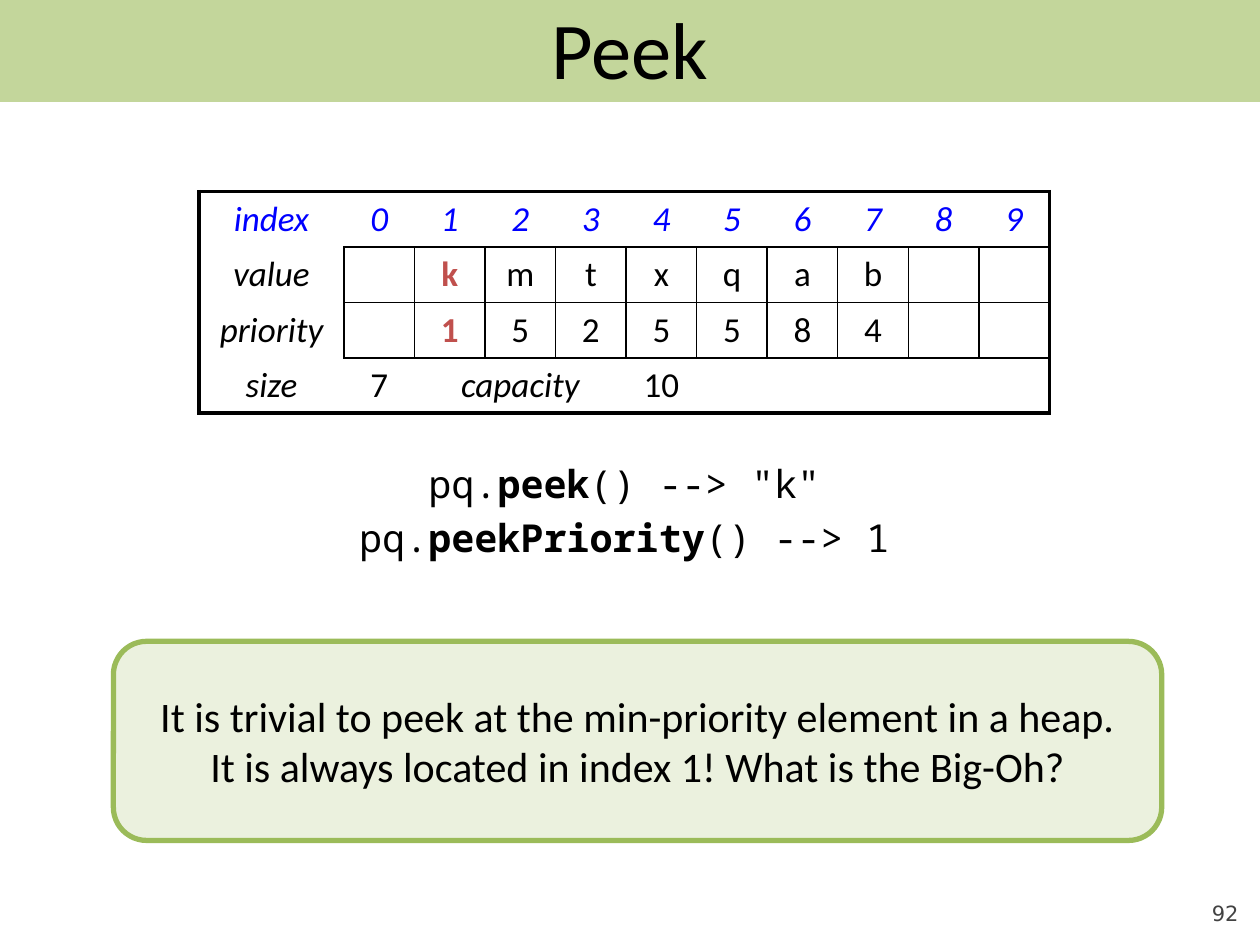
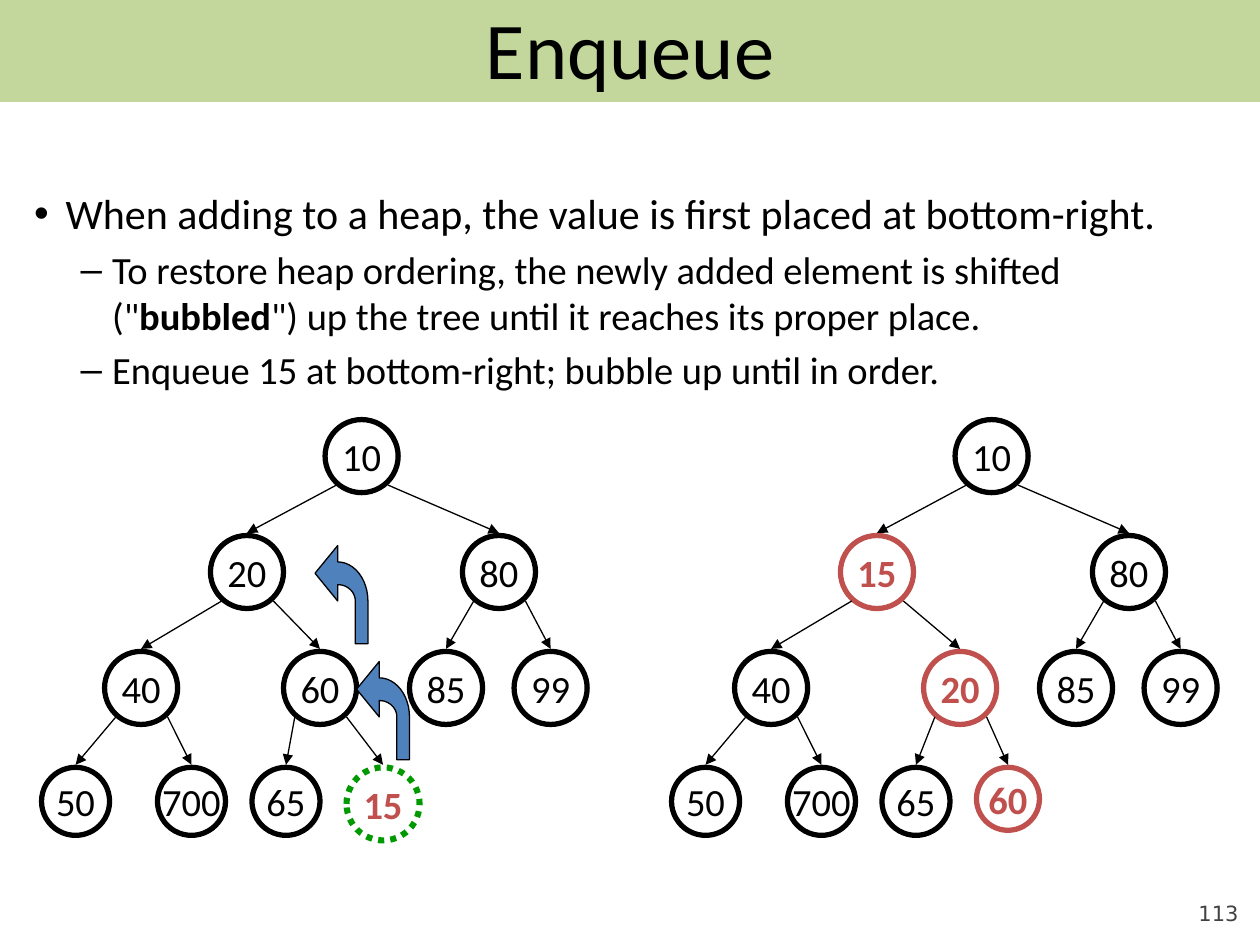
from dataclasses import dataclass
from math import cos, pi, sin

from lxml.etree import SubElement as Sub
from pptx import Presentation
from pptx.dml.color import RGBColor
from pptx.enum.dml import MSO_LINE as Dash
from pptx.enum.shapes import MSO_CONNECTOR as Conn, MSO_SHAPE as Kind
from pptx.enum.text import MSO_ANCHOR as Anchor, MSO_AUTO_SIZE as Auto, PP_ALIGN as Align
from pptx.oxml.ns import qn
from pptx.util import Inches, Pt


@dataclass(frozen=True)
class Theme:
    black: str = "000000"
    band: str = "C3D69B"
    pale: str = "EBF1DE"
    edge: str = "9BBB59"
    red: str = "C0504D"
    blue: str = "0000FF"
    green: str = "009900"
    arrow: str = "4F81BD"
    gray: str = "424242"
    sans: str = "Calibri"
    mono: str = "Noto Sans Mono"
    foot: str = "DejaVu Sans"
    title: int = 46
    lead: int = 24
    text: int = 22
    cell: int = 20
    note: int = 12
    thin: float = 0.75
    grid: float = 1
    frame: float = 2.25
    bold: float = 3
    dots: float = 3.5


T = Theme()
GAP = 0.92


def color(code):
    return RGBColor.from_string(code)


def style(para, size, tint=T.black, face=T.sans, align=None, bold=None, slant=None):
    font = para.font
    font.size, font.name = Pt(size), face
    font.color.rgb = color(tint)
    font.bold, font.italic = bold, slant
    if align is not None:
        para.alignment = align


def paint(shape, fill=None, line=None, width=T.bold):
    shape.shadow.inherit = False
    if fill:
        shape.fill.solid()
        shape.fill.fore_color.rgb = color(fill)
    else:
        shape.fill.background()
    if line:
        shape.line.color.rgb = color(line)
        shape.line.width = Pt(width)
    else:
        shape.line.fill.background()


def place(shape, box):
    shape.left, shape.top, shape.width, shape.height = map(Inches, box)


def add_runs(para, parts):
    for pos, part in enumerate(parts):
        run = para.add_run()
        run.text = part
        if pos % 2:
            run.font.bold = True


def add_band(prs, slide):
    band = slide.shapes.add_shape(Kind.RECTANGLE, 0, 0, prs.slide_width, Inches(0.81))
    paint(band, T.band)
    band.element.nvSpPr.cNvPr.set("id", "99")
    prs.slide_master.shapes.element.insert(2, band.element)


def add_slide(prs, name, number):
    slide = prs.slides.add_slide(prs.slide_layouts[1])
    title = slide.shapes.title
    place(title, (0.5, 0, 9, 0.75))
    frame = title.text_frame
    frame.text = name
    frame.auto_size = Auto.NONE
    frame.vertical_anchor = Anchor.MIDDLE
    style(frame.paragraphs[0], T.title, align=Align.CENTER)

    foot = slide.shapes.add_textbox(*map(Inches, (9, 6.95, 0.83, 0.4))).text_frame
    foot.margin_left = foot.margin_right = foot.margin_top = foot.margin_bottom = 0
    foot.vertical_anchor = Anchor.BOTTOM
    foot.word_wrap = True
    foot.text = number
    style(foot.paragraphs[0], T.note, T.gray, T.foot, Align.RIGHT)
    return slide


def fill_body(slide, box, items, face=T.sans, align=None):
    body = slide.placeholders[1]
    place(body, box)
    frame = body.text_frame
    frame.auto_size = Auto.NONE
    for pos, (level, *parts) in enumerate(items):
        para = frame.add_paragraph() if pos else frame.paragraphs[0]
        para.level = level
        props = para._p.get_or_add_pPr()
        if align is None:
            props.set("marL", str(Inches((0.25, 0.62)[level])))
            props.set("indent", str(Inches(-0.25)))
        else:
            props.set("marL", "0")
            props.set("indent", "0")
            Sub(props, qn("a:buNone"))
        if not pos:
            para.space_before = Pt(0)
        style(para, (T.lead, T.text)[level], face=face, align=align)
        add_runs(para, parts)


def add_edges(cell, widths):
    props = cell._tc.get_or_add_tcPr()
    for side, width in zip("LRTB", widths):
        line = Sub(props, qn("a:ln" + side), w=str(Pt(width)))
        if width:
            fill = Sub(line, qn("a:solidFill"))
            Sub(fill, qn("a:srgbClr"), val=T.black)
        else:
            Sub(line, qn("a:noFill"))


def edge(row, col, down, over, rows, cols):
    def boxed(r, c):
        return r in (1, 2) and c >= 1

    near = row + down, col + over
    if not (0 <= near[0] < rows and 0 <= near[1] < cols):
        return T.frame
    return T.grid if boxed(row, col) or boxed(*near) else 0


def add_heap(slide, box, data):
    rows, cols = len(data), len(data[0])
    table = slide.shapes.add_table(rows, cols, *map(Inches, box)).table
    table.first_row = table.horz_banding = False
    first, rest = 1.15, 0.56
    for pos, column in enumerate(table.columns):
        column.width = Inches(rest if pos else first)
    for row in table.rows:
        row.height = Inches(box[3] / rows)
    for r, line in enumerate(data):
        for c, text in enumerate(line):
            cell = table.cell(r, c)
            sides = (0, -1), (0, 1), (-1, 0), (1, 0)
            add_edges(cell, [edge(r, c, *side, rows, cols) for side in sides])
            cell.fill.background()
            if not text:
                continue
            cell.text = text
            hot = r in (1, 2) and c == 1 + 1
            tint = T.blue if r == 0 else T.red if hot else T.black
            label = r == 0 or c == 0 or text == "capacity"
            style(cell.text_frame.paragraphs[0], T.cell, tint,
                  align=Align.CENTER, bold=hot, slant=label)
    table.cell(3, 2).merge(table.cell(3, 4))


def add_callout(slide, box, text):
    shape = slide.shapes.add_shape(Kind.ROUNDED_RECTANGLE, *map(Inches, box))
    paint(shape, T.pale, T.edge)
    frame = shape.text_frame
    frame.word_wrap = True
    frame.margin_left = frame.margin_right = Inches(0.22)
    frame.vertical_anchor = Anchor.MIDDLE
    frame.text = text
    style(frame.paragraphs[0], T.lead, align=Align.CENTER)


def add_node(slide, x, y, size, text, line, hot, dots):
    node = slide.shapes.add_shape(Kind.OVAL, *map(Inches, (x, y, size, size)))
    paint(node, line=line, width=T.dots if dots else T.bold)
    if dots:
        node.line.dash_style = Dash.ROUND_DOT
    frame = node.text_frame
    frame.word_wrap = False
    frame.vertical_anchor = Anchor.MIDDLE
    frame.text = text
    style(frame.paragraphs[0], T.text, T.red if hot else T.black,
          align=Align.CENTER, bold=hot)


def add_link(slide, start, end):
    link = slide.shapes.add_connector(Conn.STRAIGHT, *map(Inches, start + end))
    link.line.color.rgb = color(T.black)
    link.line.width = Pt(T.thin)
    Sub(link.line._get_or_add_ln(), qn("a:tailEnd"), type="triangle")
    Sub(link._element.spPr, qn("a:effectLst"))


def add_tree(slide, left, top, keys, spots, last, hot, ring):
    nodes = []
    for pos, (key, x) in enumerate(zip(keys, spots)):
        row = (pos + 1).bit_length() - 1
        size = last if pos == len(keys) - 1 else 0.54 if row == 3 else 0.58
        x, y = left + x, top + row * GAP
        new = pos in hot
        dots = new and ring == T.green
        add_node(slide, x, y, size, key, ring if new else T.black, new, dots)
        nodes.append((x, y))
        if pos:
            px, py = nodes[(pos - 1) // 2]
            start = px + (0.09 if pos % 2 else 0.5), py + 0.52
            add_link(slide, start, (x + size / 2, y - 0.02))


def curve(wide, high, turn):
    angles = [turn * pi / 24 for turn in range(13)]
    points = [(0.18 + wide * sin(a), 0.44 - high * cos(a)) for a in angles]
    return points[::turn]


def add_arrow(slide, left, top):
    points = [(0, 0.22), (0.18, 0), *curve(0.24, 0.31, 1),
              (0.42, 0.78), (0.32, 0.78), *curve(0.14, 0.13, -1), (0.18, 0.44)]
    spots = [(Inches(left + x), Inches(top + y)) for x, y in points]
    path = slide.shapes.build_freeform(*spots[0], scale=1.0)
    path.add_line_segments(spots[1:], close=True)
    paint(path.convert_to_shape(), T.arrow, T.black, T.thin)


def peek(prs):
    slide = add_slide(prs, "Peek", "92")
    add_band(prs, slide)
    add_callout(slide, (0.9, 5.09, 8.32, 1.58),
                "It is trivial to peek at the min-priority element in a heap. "
                "It is always located in index 1! What is the Big-Oh?")
    fill_body(slide, (0.91, 3.6, 8.09, 1.1), [
        (1, "pq.", "peek", '() --> "k"'),
        (1, "pq.", "peekPriority", "() --> 1"),
    ], T.mono, Align.CENTER)
    add_heap(slide, (1.58, 1.52, 6.75, 1.76), [
        ["index", *"0123456789"],
        ["value", "", *"kmtxqab", "", ""],
        ["priority", "", *"1525584", "", ""],
        ["size", "7", "capacity", "", "", "10", "", "", "", "", ""],
    ])


def enqueue(prs):
    slide = add_slide(prs, "Enqueue", "113")
    fill_body(slide, (0.17, 1.44, 9.67, 1.8), [
        (0, "When adding to a heap, the value is first placed at bottom-right."),
        (1, 'To restore heap ordering, the newly added element is shifted ("',
         "bubbled", '") up the tree until it reaches its proper place.'),
        (1, "Enqueue 15 at bottom-right; bubble up until in order."),
    ])
    left, top = 0.33, 3.33
    spots = [2.25, 1.34, 3.34, 0.5, 1.92, 2.92, 3.75, 0, 0.92, 1.67, 2.42]
    before = "10 20 80 40 60 85 99 50 700 65 15".split()
    after = "10 15 80 40 20 85 99 50 700 65 60".split()
    add_tree(slide, left, top, before, spots, 0.58, {10}, T.green)
    for step in range(2):
        add_arrow(slide, left + 2.17 + 0.33 * step, top + 1 + GAP * step)
    spots[4] = 2
    add_tree(slide, left + 5, top, after, spots, 0.5, {1, 4, 10}, T.red)


def main():
    prs = Presentation()
    prs.slide_width, prs.slide_height = Inches(10), Inches(7.5)
    peek(prs)
    enqueue(prs)
    prs.save("out.pptx")


if __name__ == "__main__":
    main()
